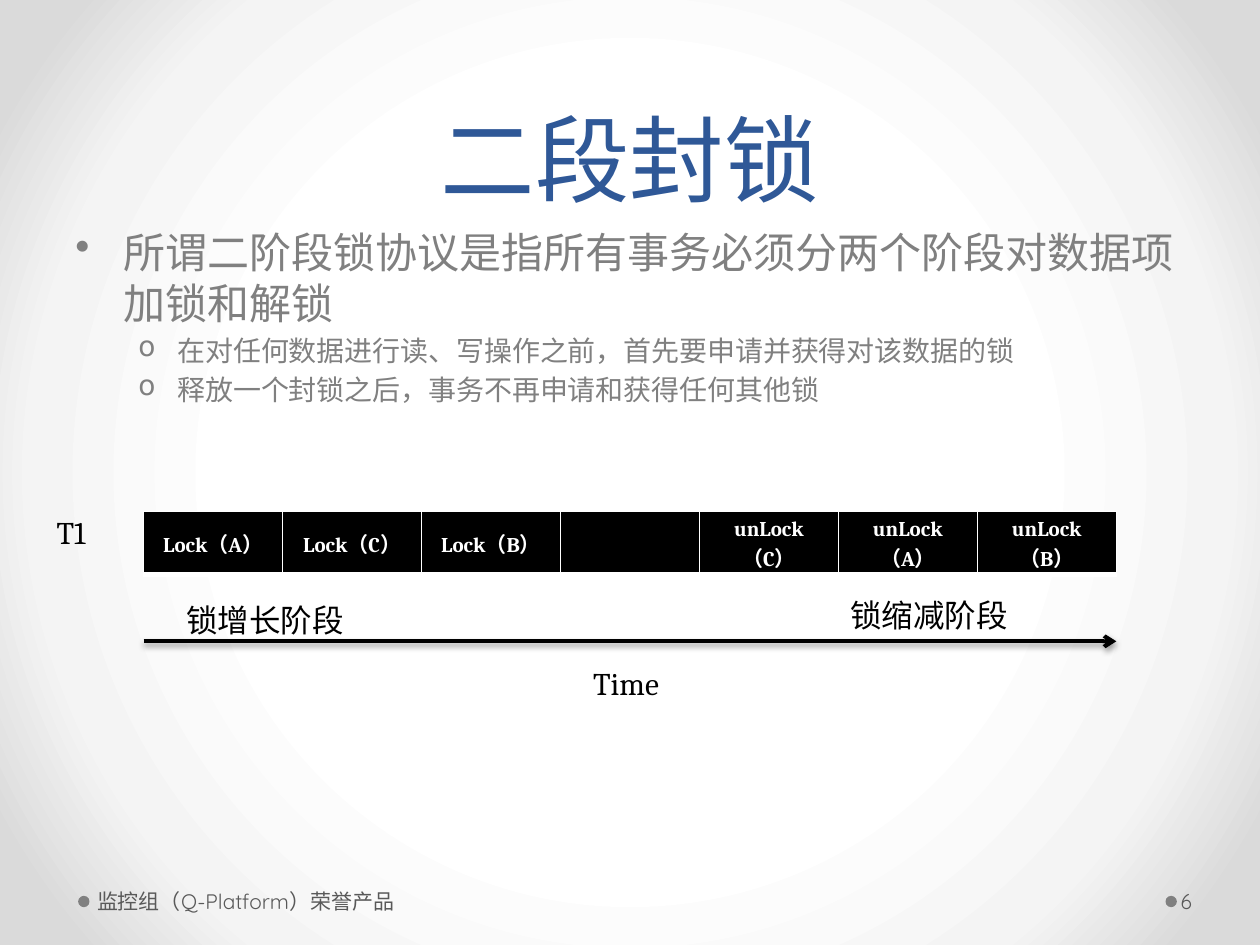
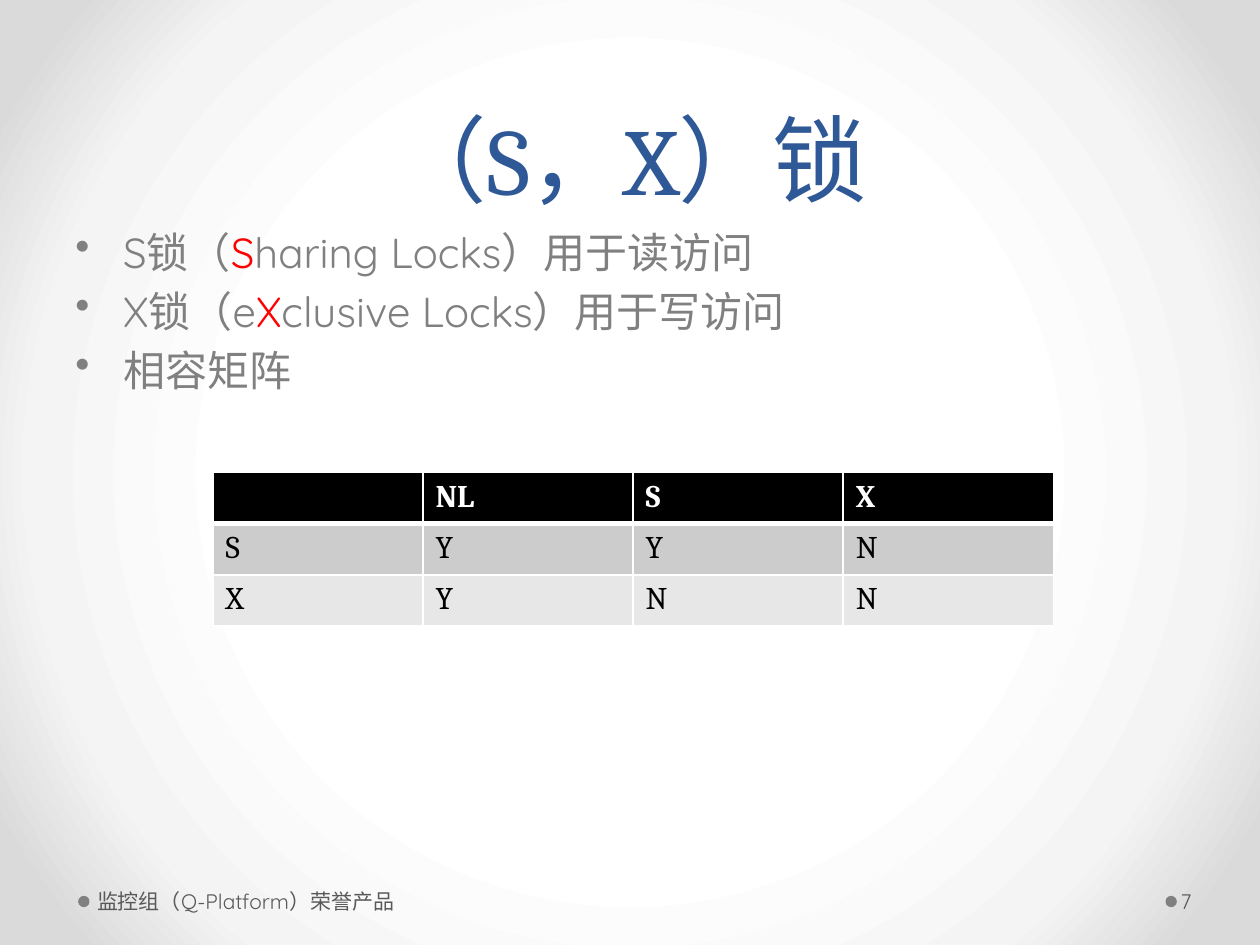
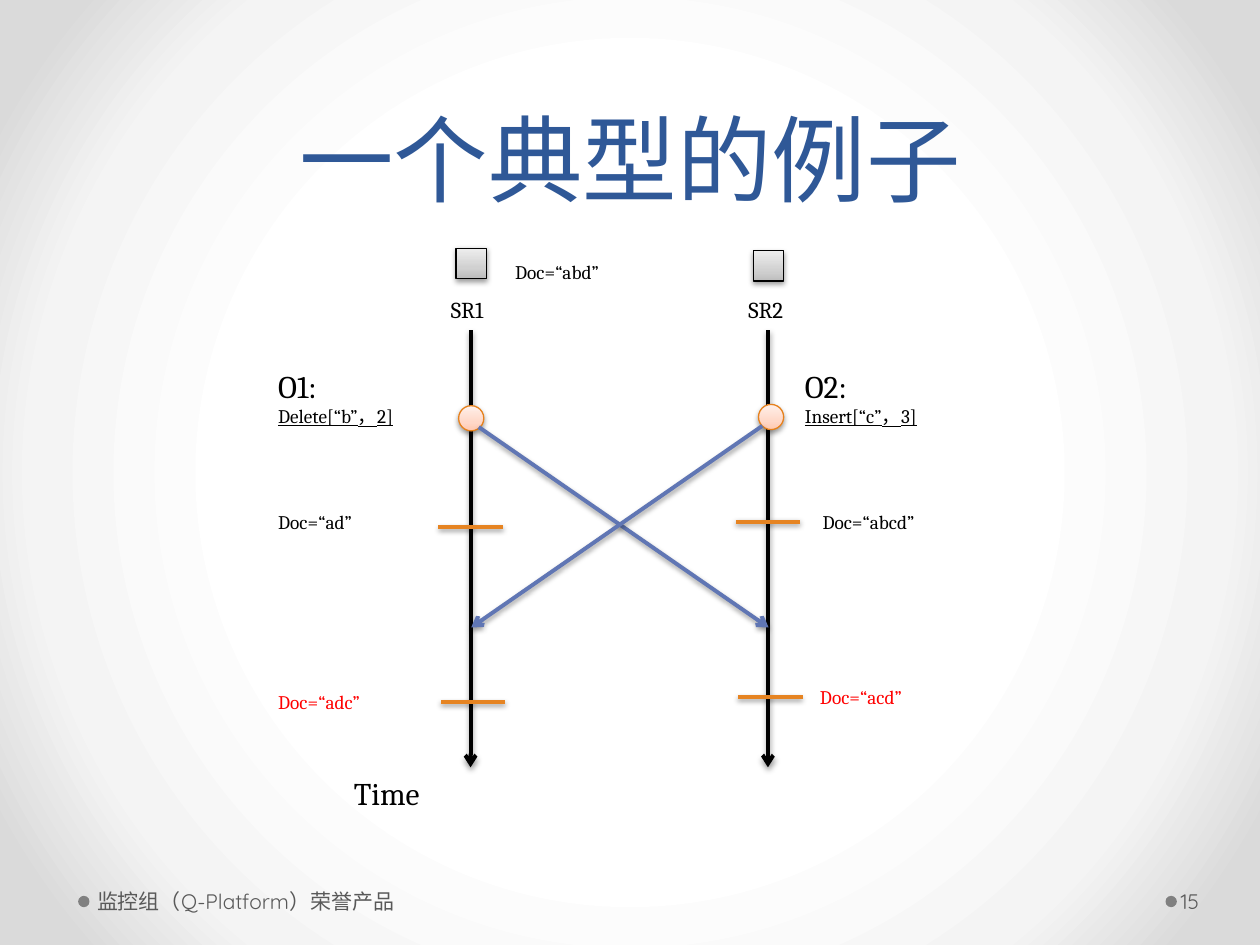
from lxml.etree import SubElement
from pptx import Presentation
from pptx.dml.color import RGBColor
from pptx.enum.shapes import MSO_CONNECTOR, MSO_SHAPE
from pptx.enum.text import MSO_ANCHOR, MSO_AUTO_SIZE, PP_ALIGN
from pptx.oxml.ns import qn
from pptx.util import Inches, Pt

COLUMNS, ROWS = 100, 75
COLORS = {
    "title": "2F5897", "body": "808080", "footer": "595959", "ink": "000000",
    "paper": "FFFFFF", "alert": "FF0000", "message": "6076B4",
    "tick": "E68422", "event": "E6811C", "band_dark": "CCCCCC", "band_light": "E7E7E7",
}
GRADIENTS = {
    "backdrop": [(50, "FFFFFF"), (76, "F4F4F4"), (92, "DADADA")],
    "site": [(0, "BDBDBD"), (35, "D1D1D1"), (100, "EEEEEE")],
    "event": [(0, "FFC9B1"), (35, "FFD8C8"), (100, "FFF0EA")],
}
FORMATS = {
    "title": {"name": "Cambria", "size": Pt(54), "color": "title"},
    "point": {"name": "Quicksand", "size": Pt(24), "color": "body"},
    "detail": {"name": "Quicksand", "size": Pt(16), "color": "body"},
    "footer": {"name": "Quicksand", "size": Pt(12), "color": "footer"},
    "label": {"name": "Cambria", "size": Pt(18), "color": "ink"},
    "site": {"name": "Cambria", "size": Pt(13), "color": "ink"},
    "state": {"name": "Cambria", "size": Pt(11), "color": "ink"},
    "conflict": {"name": "Cambria", "size": Pt(11), "color": "alert"},
    "operation": {"name": "Cambria", "size": Pt(11), "color": "ink", "underline": True},
    "head": {"name": "Cambria", "size": Pt(18), "color": "paper", "bold": True},
    "step": {"name": "Cambria", "size": Pt(12), "color": "paper", "bold": True},
}
BULLETS = {"point": ("•", 0.38, 0.38), "detail": ("o", 0.81, 0.31)}
FOOTER = "监控组（Q-Platform）荣誉产品"


def set_attributes(target, values):
    for name, value in values.items():
        setattr(target, name, value)


def color(name):
    return RGBColor.from_string(COLORS[name])


def add_node(parent, tag, **attributes):
    return SubElement(parent, qn(f"a:{tag}"), {key: str(value) for key, value in attributes.items()})


class Deck:
    def __init__(self):
        self.presentation = Presentation()
        self.presentation.slide_width = Inches(10)
        self.presentation.slide_height = Inches(7.5)
        self.slide = None
        master = self.presentation.slide_master
        self.gradient(master.background.fill, master.element, "backdrop", circular=True)

    def x(self, columns):
        return round(self.presentation.slide_width * columns / COLUMNS)

    def y(self, rows):
        return round(self.presentation.slide_height * rows / ROWS)

    def box(self, left, top, width, height):
        return self.x(left), self.y(top), self.x(width), self.y(height)

    def gradient(self, fill, element, name, circular=False):
        fill.gradient()
        node = element.find(f".//{qn('a:gradFill')}")
        for child in list(node):
            node.remove(child)
        stops = add_node(node, "gsLst")
        for position, value in GRADIENTS[name]:
            add_node(add_node(stops, "gs", pos=position * 1000), "srgbClr", val=value)
        if circular:
            direction = add_node(node, "path", path="circle")
            add_node(direction, "fillToRect", l=50000, t=50000, r=50000, b=50000)
        else:
            add_node(node, "lin", ang=270 * 60000, scaled=0)

    def shadow(self, effects):
        shadow = add_node(effects, "outerShdw", blurRad=Pt(3.1), dist=Pt(1.6),
                          dir=90 * 60000, rotWithShape=0)
        add_node(add_node(shadow, "srgbClr", val=COLORS["ink"]), "alpha", val=38000)

    def add_runs(self, paragraph, runs, style):
        for text, changes in runs:
            run = paragraph.add_run()
            run.text = text
            values = {**FORMATS[style], **changes}
            run.font.color.rgb = color(values.pop("color"))
            set_attributes(run.font, values)

    def text(self, place, lines, frame_values, paragraph_values=None, insets=None):
        shape = self.slide.shapes.add_textbox(*self.box(*place))
        frame = shape.text_frame
        set_attributes(frame, {"word_wrap": True, **frame_values})
        for side, inset in zip(("left", "top", "right", "bottom"), insets or ()):
            setattr(frame, f"margin_{side}", Inches(inset))
        for index, (style, content) in enumerate(lines):
            paragraph = frame.add_paragraph() if index else frame.paragraphs[0]
            set_attributes(paragraph, paragraph_values or {})
            self.add_runs(paragraph, [(content, {})] if isinstance(content, str) else content, style)
            if style in BULLETS:
                self.bullet(paragraph, style)
        return shape

    def bullet(self, paragraph, style):
        symbol, margin, hanging = BULLETS[style]
        paragraph.space_before = round(FORMATS[style]["size"] * 0.2)
        properties = paragraph._p.get_or_add_pPr()
        properties.set("marL", str(Inches(margin)))
        properties.set("indent", str(-Inches(hanging)))
        add_node(properties, "buChar", char=symbol)

    def label(self, place, *lines):
        return self.text(place, lines, {"word_wrap": False, "auto_size": MSO_AUTO_SIZE.SHAPE_TO_FIT_TEXT})

    def body(self, *lines):
        self.text((5, 17.5, 90, 49.5), lines, {})

    def shape(self, kind, place, fill, line=None):
        shape = self.slide.shapes.add_shape(kind, *self.box(*place))
        shape.shadow.inherit = False
        if line:
            self.gradient(shape.fill, shape._element, fill)
            shape.line.color.rgb = color(line)
            shape.line.width = Pt(0.75)
            self.shadow(shape._element.spPr.find(qn("a:effectLst")))
        else:
            shape.fill.solid()
            shape.fill.fore_color.rgb = color(fill)
            shape.line.fill.background()

    def line(self, start, end, line, arrow=False, source=None):
        points = [measure(value) for point in (start, end)
                  for measure, value in zip((self.x, self.y), point)]
        connector = self.slide.shapes.add_connector(MSO_CONNECTOR.STRAIGHT, *points)
        connector.line.color.rgb = color(line)
        connector.line.width = Pt(2.25)
        if arrow:
            add_node(connector.line._get_or_add_ln(), "tailEnd", type="arrow")
        self.shadow(add_node(connector._element.spPr, "effectLst"))
        if source is not None:
            connector.begin_connect(source, 2)

    def table(self, place, rows, styles, fills, centred=False):
        shape = self.slide.shapes.add_table(len(rows), len(rows[0]), *self.box(*place))
        table = shape.table
        set_attributes(table, {"first_row": False, "horz_banding": False})
        for row_index, row in enumerate(rows):
            for column_index, text in enumerate(row):
                cell = table.cell(row_index, column_index)
                cell.fill.solid()
                cell.fill.fore_color.rgb = color(fills[row_index])
                self.borders(cell, {"L": 1, "R": 1, "T": 3 if row_index == 1 else 1,
                                    "B": 1 if row_index else 3})
                paragraph = cell.text_frame.paragraphs[0]
                if centred:
                    cell.vertical_anchor = MSO_ANCHOR.MIDDLE
                    paragraph.alignment = PP_ALIGN.CENTER
                if text:
                    self.add_runs(paragraph, [(text, {})], styles[row_index])

    def borders(self, cell, widths):
        properties = cell._tc.get_or_add_tcPr()
        for index, (side, width) in enumerate(widths.items()):
            border = add_node(properties, f"ln{side}", w=Pt(width))
            add_node(add_node(border, "solidFill"), "srgbClr", val=COLORS["paper"])
            properties.insert(index, border)

    def start(self, title, number):
        self.slide = self.presentation.slides.add_slide(self.presentation.slide_layouts[6])
        for left in (92.5, 6.2):
            self.shape(MSO_SHAPE.OVAL, (left, 71.1, 0.9, 0.9), "body")
        self.text((5, 0, 90, 17.5), [("title", title)], {"vertical_anchor": MSO_ANCHOR.BOTTOM},
                  {"alignment": PP_ALIGN.CENTER, "line_spacing": Pt(58)})
        middle = {"vertical_anchor": MSO_ANCHOR.MIDDLE}
        self.text((7.2, 69.5, 31.1, 4), [("footer", FOOTER)], middle, insets=(0.05, 0.05, 0.1, 0.05))
        self.text((93.4, 69.5, 6.1, 4), [("footer", str(number))], middle, insets=(0.03, 0.05, 0.05, 0.05))


def two_phase_locking(deck):
    deck.start("二段封锁", 6)
    deck.body(
        ("point", "所谓二阶段锁协议是指所有事务必须分两个阶段对数据项加锁和解锁"),
        ("detail", "在对任何数据进行读、写操作之前，首先要申请并获得对该数据的锁"),
        ("detail", "释放一个封锁之后，事务不再申请和获得任何其他锁"),
    )
    steps = ["Lock（A）", "Lock（C）", "Lock（B）", "", "unLock（C）", "unLock（A）", "unLock（B）"]
    deck.table((11.4, 40.6, 77.2, 4.1), [steps], ["step"], ["ink"], centred=True)
    deck.line((11.4, 50.9), (88.6, 50.9), "ink", arrow=True)
    for left, top, width, text in [(3.5, 40.2, 4.8, "T1"), (46.1, 52.2, 7.7, "Time"),
                                   (13.8, 47.2, 14.6, "锁增长阶段"), (66.5, 46.8, 14.6, "锁缩减阶段")]:
        deck.label((left, top, width, 4), ("label", text))


def lock_modes(deck):
    deck.start("（S，X）锁", 7)
    alert = {"color": "alert"}
    deck.body(
        ("point", [("S锁（", {}), ("S", alert), ("haring Locks）用于读访问", {})]),
        ("point", [("X锁（e", {}), ("X", alert), ("clusive Locks）用于写访问", {})]),
        ("point", "相容矩阵"),
    )
    compatibility = [["", "NL", "S", "X"], ["S", "Y", "Y", "N"], ["X", "Y", "N", "N"]]
    deck.table((16.9, 37.5, 66.7, 12.2), compatibility, ["head", "label", "label"],
               ["ink", "band_dark", "band_light"])


def typical_example(deck):
    deck.start("一个典型的例子", 15)
    lanes = [("SR1", 34.8, 19.7, 36.4, 32.2, 41.8), ("SR2", 58.4, 19.9, 60.2, 32.1, 41.4)]
    for name, left, site_top, event_left, event_top, tick_top in lanes:
        deck.shape(MSO_SHAPE.RECTANGLE, (left + 1.4, site_top, 2.4, 2.4), "site", "ink")
        site = deck.label((left, 23, 5.1, 3.2), ("site", name))
        deck.line((left + 2.55, 26.2), (left + 2.55, 60.9), "ink", arrow=True, source=site)
        deck.shape(MSO_SHAPE.OVAL, (event_left, event_top, 2, 2), "event", "event")
        for shift, drop in ((0, 0), (0.2, 13.9)):
            deck.line((left + shift, tick_top + drop), (left + shift + 5.1, tick_top + drop), "tick")
    deck.line((38, 33.9), (61, 49.8), "message", arrow=True)
    deck.line((60.5, 33.8), (37.4, 49.8), "message", arrow=True)
    deck.label((21.1, 28.6, 13.7, 5.9), ("label", "O1:"), ("operation", "Delete[“b”，2]"))
    deck.label((62.9, 28.6, 13, 5.9), ("label", "O2:"), ("operation", "Insert[“c”，3]"))
    for left, top, width, style, content in [
        (39.9, 20.2, 11.2, "state", "abd"), (21.1, 40, 10.3, "state", "ad"),
        (21.1, 54.3, 11, "conflict", "adc"), (64.3, 40, 11.9, "state", "abcd"),
        (64.1, 53.9, 11, "conflict", "acd"),
    ]:
        deck.label((left, top, width, 2.9), (style, f"Doc=“{content}”"))
    deck.label((27.1, 60.9, 7.7, 4), ("label", "Time"))


def main():
    deck = Deck()
    for build in (two_phase_locking, lock_modes, typical_example):
        build(deck)
    deck.presentation.save("out.pptx")


if __name__ == "__main__":
    main()
